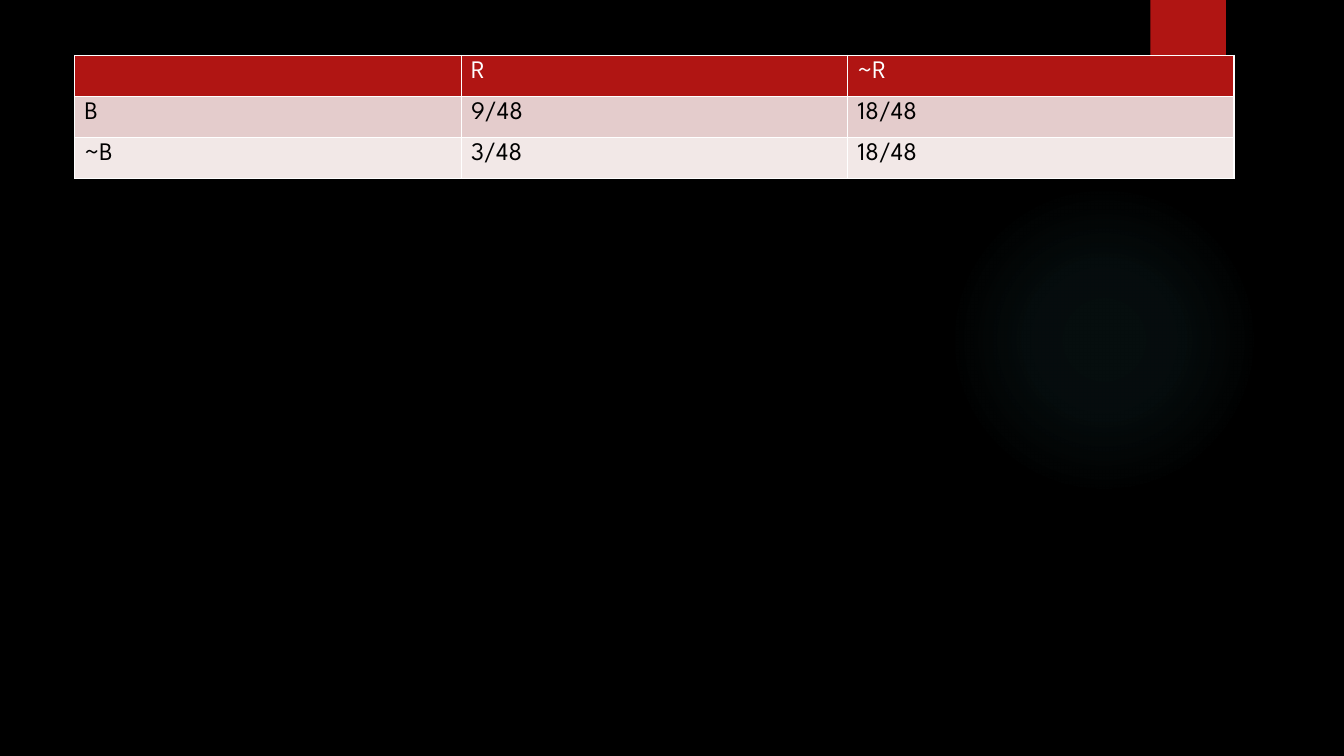
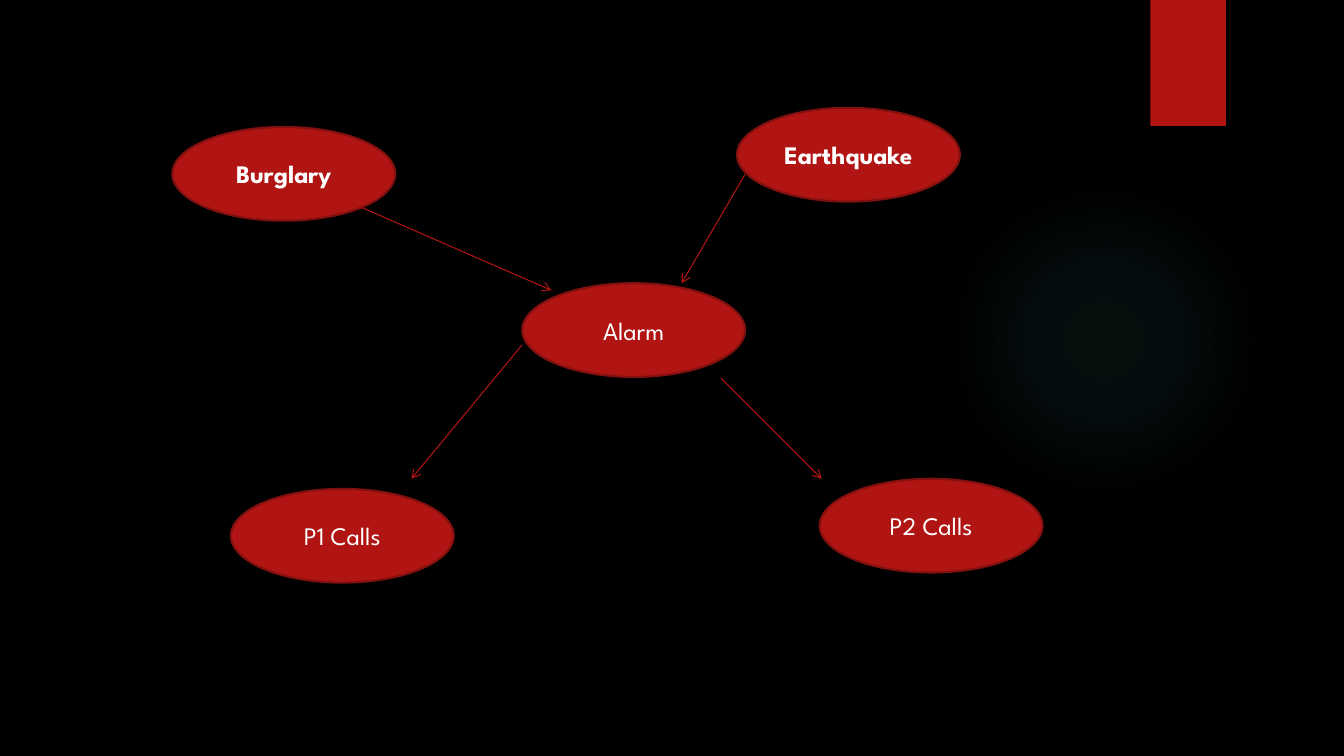
from lxml import etree
from pptx import Presentation
from pptx.dml.color import RGBColor
from pptx.enum.shapes import MSO_CONNECTOR, MSO_SHAPE
from pptx.enum.text import MSO_ANCHOR, PP_ALIGN
from pptx.oxml import parse_xml
from pptx.oxml.ns import nsdecls, qn
from pptx.util import Pt

OVAL, RECT = MSO_SHAPE.OVAL, MSO_SHAPE.RECTANGLE
LINE = MSO_CONNECTOR.STRAIGHT
MIDDLE, CENTER = MSO_ANCHOR.MIDDLE, PP_ALIGN.CENTER
SCALE = 9144
FONT, SIZE = "League Spartan", 18
BLACK, WHITE, RED, DARK, TEAL = "000000", "FFFFFF", "B01513", "82100E", "50B9C1"
ROWS = [["", "R", "~R"], ["B", "9/48", "18/48"], ["~B", "3/48", "18/48"]]
FILLS = [RED, "E4CCCC", "F2E8E7"]
NODES = [("Burglary", 0, 19, True), ("Earthquake", 560, 0, True),
         ("Alarm", 347, 174, False), ("P2 Calls", 642, 368, False),
         ("P1 Calls", 58, 378, False)]
ARROWS = [(188, 99, 376, 181), (544, 268, 644, 368),
          (347, 235, 237, 368), (568, 66, 505, 174)]


def px(*sizes):
    """Turn px lengths into EMU."""
    return [size * SCALE for size in sizes]


def color(code):
    """Turn a hex string into a colour."""
    return RGBColor.from_string(code)


def style(para, code, bold=False):
    """Format the runs of a paragraph."""
    for run in para.runs:
        font = run.font
        font.name, font.size, font.bold = FONT, Pt(SIZE), bold
        font.color.rgb = color(code)


def add_box(slide, kind, box, fill, edge=None):
    """Add a filled shape without a shadow."""
    shape = slide.shapes.add_shape(kind, *px(*box))
    shape.shadow.inherit = False
    shape.fill.solid()
    shape.fill.fore_color.rgb = color(fill)
    if edge:
        shape.line.color.rgb = color(edge)
        shape.line.width = Pt(1.5)
    else:
        shape.line.fill.background()
    return shape


def add_glow(slide, box):
    """Add a soft round glow that fades to nothing."""
    shape = add_box(slide, OVAL, box, TEAL)
    stops = "".join(
        f'<a:gs pos="{pos}000"><a:srgbClr val="{TEAL}">'
        f'<a:alpha val="{alpha}000"/></a:srgbClr></a:gs>'
        for pos, alpha in [(0, 7), (36, 6), (69, 0), (100, 0)])
    grad = parse_xml(
        f'<a:gradFill {nsdecls("a")} rotWithShape="1"><a:gsLst>{stops}</a:gsLst>'
        '<a:path path="circle"><a:fillToRect l="50000" t="50000" r="50000" '
        'b="50000"/></a:path></a:gradFill>')
    props = shape._element.spPr
    props.replace(props.find(qn("a:solidFill")), grad)


def add_slide(deck):
    """Add a blank slide with the shared backdrop."""
    slide = deck.slides.add_slide(deck.slide_layouts[6])
    fill = slide.background.fill
    fill.solid()
    fill.fore_color.rgb = color(BLACK)
    add_glow(slide, (941, 183, 308, 308))
    add_box(slide, RECT, (1141, 0, 75, 125), RED)
    return slide


def add_edges(cell):
    """Draw thin white borders around a cell."""
    props = cell._tc.get_or_add_tcPr()
    for spot, side in enumerate("LRTB"):
        props.insert(spot, parse_xml(
            f'<a:ln{side} {nsdecls("a")} w="{Pt(1)}"><a:solidFill>'
            f'<a:srgbClr val="{WHITE}"/></a:solidFill></a:ln{side}>'))


def add_odds(slide, box):
    """Add the table of joint odds in the box."""
    table = slide.shapes.add_table(len(ROWS), len(ROWS[0]), *px(*box)).table
    for row, texts in enumerate(ROWS):
        for col, text in enumerate(texts):
            cell = table.cell(row, col)
            cell.text = text
            style(cell.text_frame.paragraphs[0], BLACK if row else WHITE)
            cell.fill.solid()
            cell.fill.fore_color.rgb = color(FILLS[row])
            add_edges(cell)


def add_node(slide, box, text, bold):
    """Add an oval with a centred label."""
    shape = add_box(slide, OVAL, box, RED, DARK)
    frame = shape.text_frame
    frame.text = text
    frame.vertical_anchor = MIDDLE
    para = frame.paragraphs[0]
    para.alignment = CENTER
    style(para, WHITE, bold)


def add_arrow(slide, ends):
    """Add a thin line with an open arrowhead."""
    arrow = slide.shapes.add_connector(LINE, *px(*ends))
    arrow.line.color.rgb = color(RED)
    arrow.line.width = Pt(0.75)
    etree.SubElement(arrow.line._get_or_add_ln(), qn("a:tailEnd"), type="arrow")
    etree.SubElement(arrow._element.spPr, qn("a:effectLst"))


def add_net(slide, left, top):
    """Add the causal network from its top left corner."""
    for text, x, y, bold in NODES:
        add_node(slide, (left + x, top + y, 221, 93), text, bold)
    for x1, y1, x2, y2 in ARROWS:
        add_arrow(slide, (left + x1, top + y1, left + x2, top + y2))


def main():
    """Build and save the deck."""
    deck = Presentation()
    deck.slide_width, deck.slide_height = px(1333, 750)
    add_odds(add_slide(deck), (74, 55, 1150, 122))
    add_net(add_slide(deck), 171, 107)
    deck.save("out.pptx")


if __name__ == "__main__":
    main()
